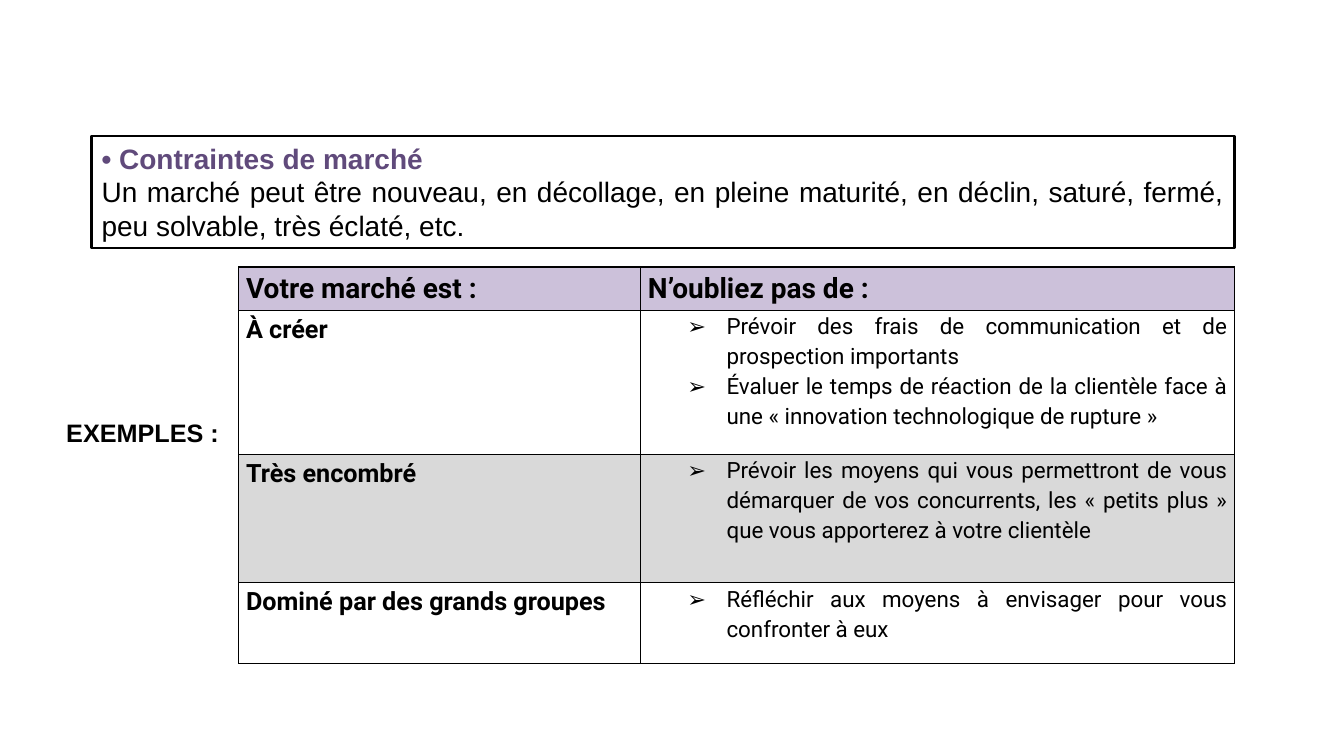
from dataclasses import dataclass

from lxml.etree import SubElement as Sub
from pptx import Presentation
from pptx.dml.color import RGBColor as Rgb
from pptx.enum.shapes import MSO_SHAPE as Shape
from pptx.enum.text import MSO_ANCHOR as Anchor
from pptx.enum.text import MSO_AUTO_SIZE as Fit
from pptx.enum.text import PP_ALIGN as Align
from pptx.oxml.ns import qn
from pptx.util import Cm, Pt


@dataclass(frozen=True)
class Theme:
    ink: str = "000000"
    paper: str = "FFFFFF"
    violet: str = "604A7B"
    lilac: str = "CCC1DA"
    grey: str = "D9D9D9"
    sans: str = "Arial"
    grid: str = "Roboto"
    big: int = 20
    mid: int = 18
    small: int = 16


@dataclass(frozen=True)
class Row:
    high: float
    market: str
    tips: tuple[str, ...]
    fill: str | None = None
    head: bool = False
    align: Align | None = None
    tab: bool = False


LOOK = Theme()
WIDTHS = (10.13, 14.96)
INDENT = Cm(1.98)
HANG = Cm(0.99)
ROWS = (
    Row(1.09, "Votre marché est :", ("N’oubliez pas de :",), LOOK.lilac, head=True),
    Row(3.63, "À créer", (
        "Prévoir des frais de communication et de prospection importants",
        "Évaluer le temps de réaction de la clientèle face à une « innovation technologique de rupture »",
    ), tab=True),
    Row(3.23, "Très encombré", (
        "Prévoir les moyens qui vous permettront de vous démarquer de vos concurrents, "
        "les « petits plus » que vous apporterez à votre clientèle",
    ), LOOK.grey),
    Row(2.03, "Dominé par des grands groupes", (
        "Réfléchir aux moyens à envisager pour vous confronter à eux",
    ), align=Align.JUSTIFY),
)


def add_run(para, text: str, size: int, bold: bool, face: str, hue: str = LOOK.ink) -> None:
    run = para.add_run()
    run.text = text
    font = run.font
    font.size, font.bold, font.name = Pt(size), bold, face
    font.color.rgb = Rgb.from_string(hue)


def add_mark(para, tab: bool) -> None:
    props = para._p.get_or_add_pPr()
    props.set("marL", str(INDENT))
    props.set("indent", str(-HANG))
    Sub(props, qn("a:buFont"), typeface=LOOK.sans)
    Sub(props, qn("a:buChar"), char="➢")
    if tab:
        stops = Sub(props, qn("a:tabLst"))
        Sub(stops, qn("a:tab"), pos=str(INDENT), algn="l")


def style_cell(cell, fill: str | None) -> None:
    cell.margin_left = cell.margin_right = Cm(0.18)
    cell.margin_top = cell.margin_bottom = 0
    cell.vertical_anchor = Anchor.TOP
    props = cell._tc.get_or_add_tcPr()
    for side in ("lnL", "lnR", "lnT", "lnB"):
        line = Sub(props, qn(f"a:{side}"), w=str(Pt(1)))
        Sub(Sub(line, qn("a:solidFill")), qn("a:srgbClr"), val=LOOK.ink)
    if fill:
        cell.fill.solid()
        cell.fill.fore_color.rgb = Rgb.from_string(fill)
    else:
        cell.fill.background()


def fill_cell(cell, texts: tuple[str, ...], size: int, bold: bool,
              align: Align | None, mark: bool = False, tab: bool = False) -> None:
    frame = cell.text_frame
    for i, text in enumerate(texts):
        para = frame.add_paragraph() if i else frame.paragraphs[0]
        para.line_spacing = 1.15
        para.alignment = align
        if mark:
            add_mark(para, tab)
        add_run(para, text, size, bold, LOOK.grid)


def draw_box(slide) -> None:
    box = slide.shapes.add_shape(Shape.RECTANGLE, Cm(2.31), Cm(3.43), Cm(28.8), Cm(2.82))
    box.shadow.inherit = False
    box.fill.solid()
    box.fill.fore_color.rgb = Rgb.from_string(LOOK.paper)
    box.line.color.rgb = Rgb.from_string(LOOK.ink)
    box.line.width = Pt(2)
    frame = box.text_frame
    frame.word_wrap = True
    frame.auto_size = Fit.SHAPE_TO_FIT_TEXT
    frame.vertical_anchor = Anchor.TOP
    head, body = frame.paragraphs[0], frame.add_paragraph()
    head.alignment = body.alignment = Align.JUSTIFY
    add_run(head, "• Contraintes de marché", LOOK.big, True, LOOK.sans, LOOK.violet)
    add_run(body, "Un marché peut être nouveau, en décollage, en pleine maturité, en déclin, "
            "saturé, fermé, peu solvable, très éclaté, etc.", LOOK.big, False, LOOK.sans)


def draw_label(slide) -> None:
    frame = slide.shapes.add_textbox(Cm(1.42), Cm(10.39), Cm(4.57), Cm(1.02)).text_frame
    frame.word_wrap = False
    frame.auto_size = Fit.SHAPE_TO_FIT_TEXT
    para = frame.paragraphs[0]
    para.alignment = Align.JUSTIFY
    add_run(para, "EXEMPLES : ", LOOK.mid, True, LOOK.sans)


def draw_table(slide) -> None:
    high = sum(row.high for row in ROWS)
    table = slide.shapes.add_table(
        len(ROWS), len(WIDTHS), Cm(6.02), Cm(6.73), Cm(sum(WIDTHS)), Cm(high)).table
    table.first_row = table.horz_banding = False
    for col, wide in zip(table.columns, WIDTHS):
        col.width = Cm(wide)
    for line, row in zip(table.rows, ROWS):
        line.height = Cm(row.high)
        left, right = line.cells
        for cell in (left, right):
            style_cell(cell, row.fill)
        fill_cell(left, (row.market,), LOOK.big if row.head else LOOK.mid, True, row.align)
        if row.head:
            fill_cell(right, row.tips, LOOK.big, True, row.align)
        else:
            fill_cell(right, row.tips, LOOK.small, False, Align.JUSTIFY, True, row.tab)


def main() -> None:
    deck = Presentation()
    deck.slide_width, deck.slide_height = Cm(33.87), Cm(19.05)
    slide = deck.slides.add_slide(deck.slide_layouts[6])
    draw_box(slide)
    draw_label(slide)
    draw_table(slide)
    deck.save("out.pptx")


if __name__ == "__main__":
    main()
